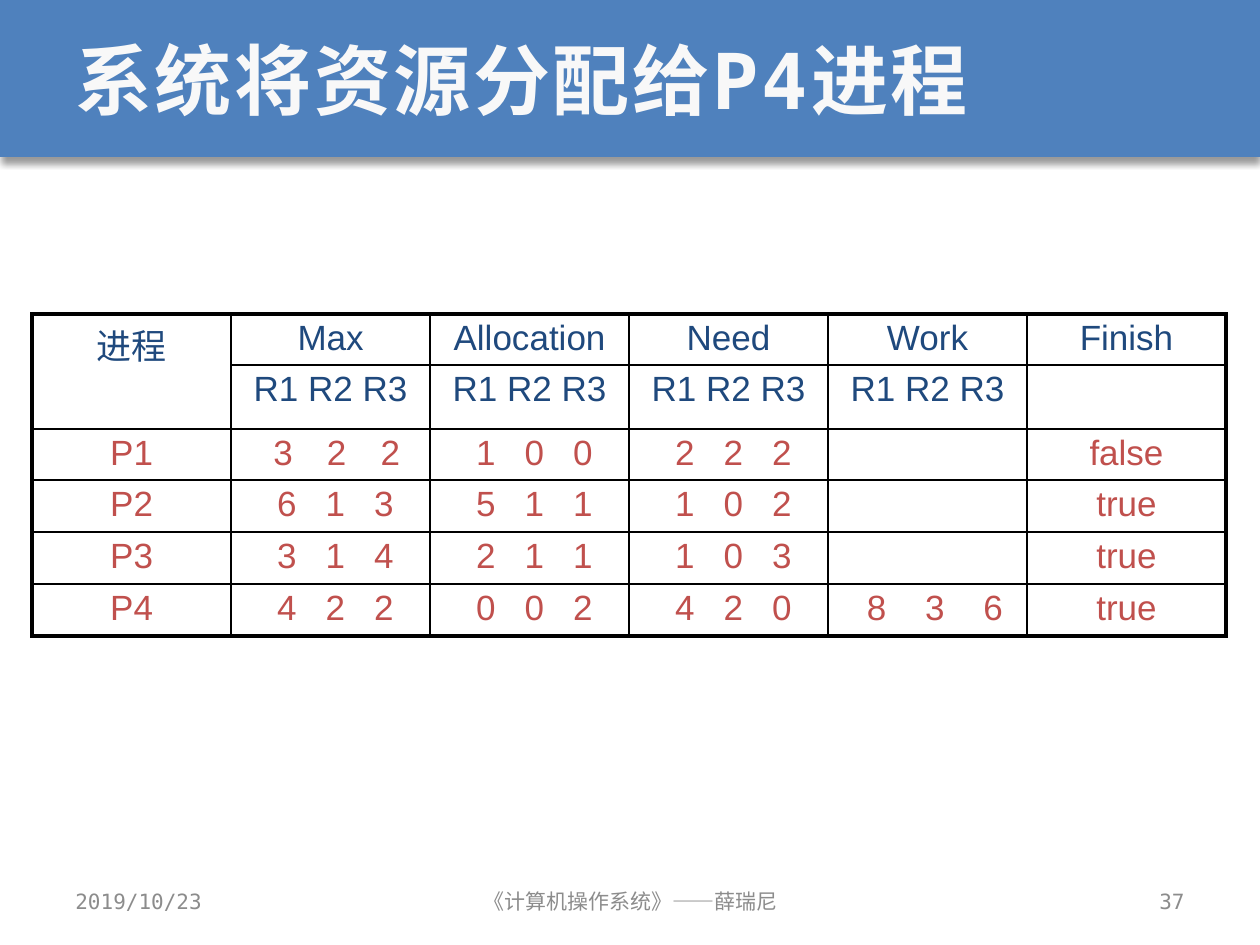
from lxml import etree
from pptx import Presentation
from pptx.dml.color import RGBColor as RGB
from pptx.enum.shapes import MSO_SHAPE as SHAPE
from pptx.enum.text import MSO_ANCHOR as ANCHOR, PP_ALIGN as ALIGN
from pptx.oxml import parse_xml
from pptx.oxml.ns import nsdecls, qn
from pptx.util import Pt

BLUE = RGB(0x4F, 0x81, 0xBD)
NAVY = RGB(0x1F, 0x49, 0x7D)
RED = RGB(0xC0, 0x50, 0x4D)
PALE = RGB(0xF8, 0xF8, 0xF8)
GRAY = RGB(0x8C, 0x8C, 0x8C)
MONO = "DejaVu Sans Mono"
SANS = "Arial"
SCALE = 914400 / 126

HEADS = ["R1 R2 R3"] * 4
ROWS = [
    ["进程", "Max", "Allocation", "Need", "Work", "Finish"],
    ["", *HEADS, ""],
    ["P1", "3 2 2", "1 0 0", "2 2 2", "", "false"],
    ["P2", "6 1 3", "5 1 1", "1 0 2", "", "true"],
    ["P3", "3 1 4", "2 1 1", "1 0 3", "", "true"],
    ["P4", "4 2 2", "0 0 2", "4 2 0", "8 3 6", "true"],
]
TALL = [51, 64, 51, 52, 52, 52]
GAPS = {(2, 1): 7, (5, 4): 8.3}


def px(num):
    """Turn pixels into EMU."""
    return round(num * SCALE)


def write(frame, text, size=12, font=MONO, color=GRAY, bold=False,
          align=ALIGN.LEFT, gap=0):
    """Put one formatted line of text into a frame."""
    para = frame.paragraphs[0]
    para.alignment = align
    run = para.add_run()
    run.text = text
    run.font.size = Pt(size)
    run.font.name = font
    run.font.bold = bold
    run.font.color.rgb = color
    if gap:
        run._r.get_or_add_rPr().set("spc", str(round(gap * 100)))


class Deck:
    """Hold the style and the current slide."""

    def __init__(self, wide, high):
        """Open a deck with one blank slide."""
        self.prs = Presentation()
        self.prs.slide_width = px(wide)
        self.prs.slide_height = px(high)
        self.slide = self.prs.slides.add_slide(self.prs.slide_layouts[6])

    def band(self, x, y, w, h):
        """Add a filled band with a soft shadow."""
        box = self.slide.shapes.add_shape(SHAPE.RECTANGLE, px(x), px(y), px(w), px(h))
        box.shadow.inherit = False
        box.fill.solid()
        box.fill.fore_color.rgb = BLUE
        box.line.fill.background()
        box._element.spPr.find(qn("a:effectLst")).append(parse_xml(
            f'<a:outerShdw {nsdecls("a")} blurRad="{Pt(4)}" dist="{Pt(3)}" '
            'dir="5400000" rotWithShape="0"><a:srgbClr val="000000">'
            '<a:alpha val="40000"/></a:srgbClr></a:outerShdw>'))

    def label(self, x, y, w, h, text, **style):
        """Add a text box centred on its height."""
        frame = self.slide.shapes.add_textbox(px(x), px(y), px(w), px(h)).text_frame
        frame.word_wrap = True
        frame.vertical_anchor = ANCHOR.MIDDLE
        write(frame, text, **style)

    def edge(self, cell, side, width):
        """Draw one border of a cell."""
        line = etree.SubElement(cell._tc.get_or_add_tcPr(), qn(f"a:ln{side}"),
                                w=str(Pt(width)))
        fill = etree.SubElement(line, qn("a:solidFill"))
        etree.SubElement(fill, qn("a:srgbClr"), val="000000")

    def grid(self, x, y, wide, rows, tall):
        """Add the process table with a heavy frame."""
        last, end = len(rows) - 1, len(rows[0]) - 1
        table = self.slide.shapes.add_table(
            last + 1, end + 1, px(x), px(y), px(wide * (end + 1)), px(sum(tall))).table
        table.first_row = table.horz_banding = False
        for col in table.columns:
            col.width = px(wide)
        for r, row in enumerate(rows):
            table.rows[r].height = px(tall[r])
            for c, text in enumerate(row):
                cell = table.cell(r, c)
                outer = {"L": c == 0, "R": c == end, "T": r == 0, "B": r == last}
                for side, heavy in outer.items():
                    self.edge(cell, side, 2.25 if heavy else 1)
                cell.fill.background()
                cell.margin_top = cell.margin_bottom = px(5)
                if text:
                    gap = GAPS.get((r, c), 5.5) if r > 1 and " " in text else 0
                    cell.margin_left = px(13) + Pt(gap)
                    write(cell.text_frame, text, size=20, font=SANS, gap=gap,
                          color=RED if r > 1 else NAVY, align=ALIGN.CENTER)
        table.cell(0, 0).merge(table.cell(1, 0))


def main():
    """Build the slide and save it."""
    deck = Deck(1260, 945)
    deck.band(0, 0, 1260, 157)
    deck.grid(32, 314, 199, ROWS, TALL)
    deck.label(63, 0, 1134, 157, "系统将资源分配给P4进程",
               size=44, color=PALE, bold=True, gap=1.5)
    deck.label(63, 876, 294, 50, "2019/10/23")
    deck.label(431, 876, 399, 50, "《计算机操作系统》——薛瑞尼", align=ALIGN.CENTER)
    deck.label(903, 876, 294, 50, "37", align=ALIGN.RIGHT)
    deck.prs.save("out.pptx")


if __name__ == "__main__":
    main()
